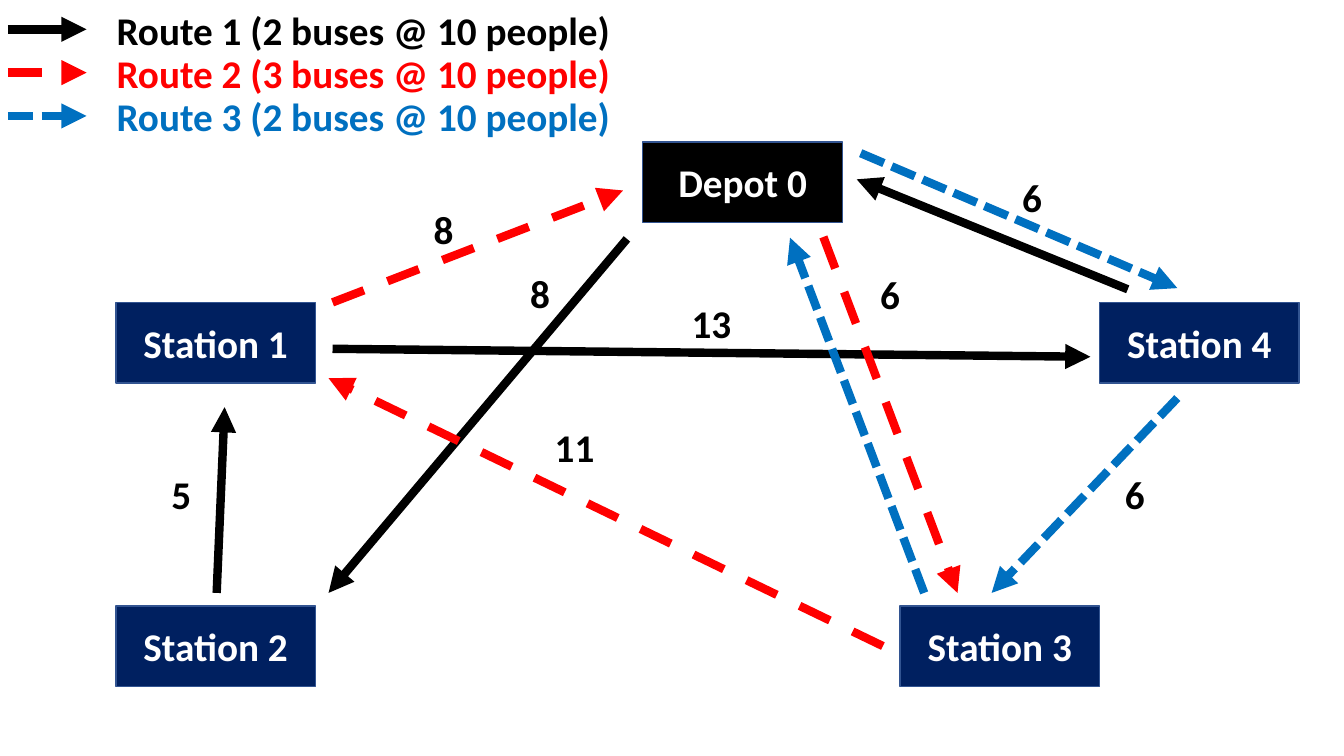
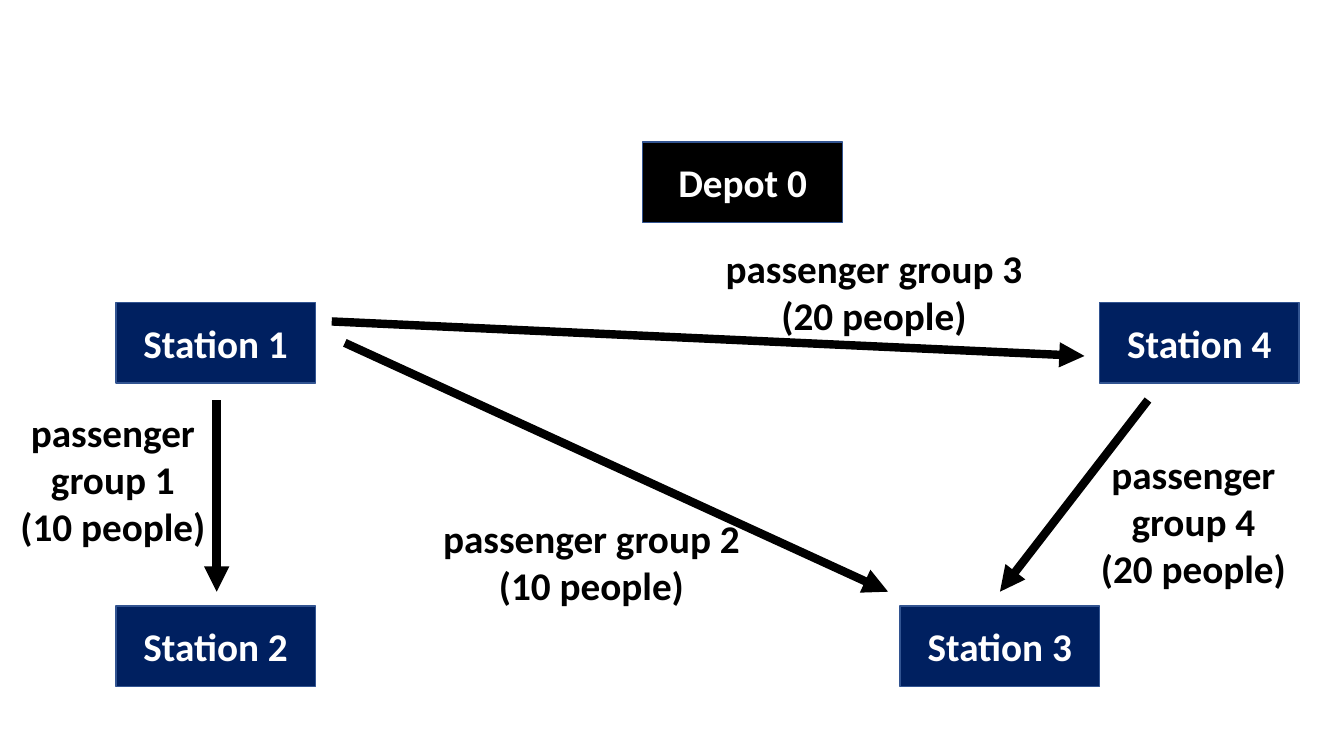
"""Build two slides: bus routes between stations, and passenger groups."""
from dataclasses import dataclass

from lxml import etree
from pptx import Presentation
from pptx.dml.color import RGBColor
from pptx.enum.dml import MSO_LINE
from pptx.enum.shapes import MSO_CONNECTOR, MSO_SHAPE
from pptx.enum.text import MSO_ANCHOR, MSO_AUTO_SIZE, PP_ALIGN
from pptx.oxml.ns import qn
from pptx.util import Cm, Pt

DASH, SHORT_DASH = MSO_LINE.DASH, MSO_LINE.SQUARE_DOT
STRAIGHT, RECTANGLE = MSO_CONNECTOR.STRAIGHT, MSO_SHAPE.RECTANGLE
LEFT, CENTER, MIDDLE = PP_ALIGN.LEFT, PP_ALIGN.CENTER, MSO_ANCHOR.MIDDLE
FIT_SHAPE = MSO_AUTO_SIZE.SHAPE_TO_FIT_TEXT
BLANK_LAYOUT = 6


@dataclass(frozen=True)
class Theme:
    font: str = "Calibri"
    text_size: Pt = Pt(28)
    arrow_width: Pt = Pt(6)
    outline_width: Pt = Pt(1)
    black: RGBColor = RGBColor(0x00, 0x00, 0x00)
    white: RGBColor = RGBColor(0xFF, 0xFF, 0xFF)
    red: RGBColor = RGBColor(0xFF, 0x00, 0x00)
    blue: RGBColor = RGBColor(0x00, 0x70, 0xC0)
    navy: RGBColor = RGBColor(0x00, 0x20, 0x60)
    outline: RGBColor = RGBColor(0x32, 0x54, 0x91)


theme = Theme()


def write_text(box, text, color=theme.black, align=CENTER, wrap=True):
    frame = box.text_frame
    frame.word_wrap = wrap
    for index, line in enumerate(text.split("\n")):
        para = frame.add_paragraph() if index else frame.paragraphs[0]
        para.alignment = align
        span = para.add_run()
        span.text = line
        span.font.name = theme.font
        span.font.size = theme.text_size
        span.font.bold = True
        span.font.color.rgb = color
    return frame


def draw_arrow(page, start, end, color=theme.black, dash=None):
    ends = [Cm(value) for value in (*start, *end)]
    arrow = page.shapes.add_connector(STRAIGHT, *ends)
    arrow.line.color.rgb = color
    arrow.line.width = theme.arrow_width
    if dash:
        arrow.line.dash_style = dash
    properties = arrow.element.spPr
    etree.SubElement(properties.find(qn("a:ln")), qn("a:tailEnd"), type="triangle")
    etree.SubElement(properties, qn("a:effectLst"))


deck = Presentation()
deck.slide_width, deck.slide_height = Cm(33.87), Cm(19.05)
routes_page, groups_page = [
    deck.slides.add_slide(deck.slide_layouts[BLANK_LAYOUT]) for _ in range(2)
]

stations = [
    ("Station 1", 2.92, 7.62, theme.navy),
    ("Station 2", 2.92, 15.27, theme.navy),
    ("Depot 0", 16.2, 3.58, theme.black),
    ("Station 4", 27.71, 7.62, theme.navy),
    ("Station 3", 22.68, 15.27, theme.navy),
]
for page in (routes_page, groups_page):
    for name, left, top, fill in stations:
        box = page.shapes.add_shape(RECTANGLE, Cm(left), Cm(top), Cm(5.03), Cm(2.03))
        box.shadow.inherit = False
        box.fill.solid()
        box.fill.fore_color.rgb = fill
        box.line.color.rgb = theme.outline
        box.line.width = theme.outline_width
        write_text(box, name, color=theme.white).vertical_anchor = MIDDLE

route_1 = {"color": theme.black}
route_2 = {"color": theme.red, "dash": DASH}
route_3 = {"color": theme.blue, "dash": SHORT_DASH}
legend = [
    ("Route 1 (2 buses @ 10 people)", route_1),
    ("Route 2 (3 buses @ 10 people)", route_2),
    ("Route 3 (2 buses @ 10 people)", route_3),
]
for row, (text, style) in enumerate(legend):
    offset = row * 1.09
    draw_arrow(routes_page, (0.2, 0.74 + offset), (2.18, 0.74 + offset), **style)
    box = routes_page.shapes.add_textbox(Cm(2.69), Cm(0.03 + offset), Cm(13.08), Cm(1.45))
    frame = write_text(box, text, color=style["color"], align=LEFT, wrap=False)
    frame.auto_size = FIT_SHAPE

route_legs = [
    ((15.8, 6.02), (8.28, 14.94), route_1),
    ((21.69, 3.86), (29.67, 7.26), route_3),
    ((5.46, 14.94), (5.66, 10.26), route_1),
    ((8.38, 8.79), (27.48, 8.99), route_1),
    ((28.42, 7.29), (21.59, 4.52), route_1),
    ((20.75, 5.97), (24.13, 14.94), route_2),
    ((22.25, 16.28), (8.28, 9.53), route_2),
    ((8.38, 7.62), (15.7, 4.8), route_2),
    ((29.67, 10.03), (24.99, 14.94), route_3),
    ((23.29, 14.94), (19.91, 5.99), route_3),
]
for start, end, style in route_legs:
    draw_arrow(routes_page, start, end, **style)

distances = [
    ("8", 11.18, 5.05),
    ("5", 4.57, 11.73),
    ("6", 28.6, 11.73),
    ("6", 26.01, 4.24),
    ("8", 13.61, 6.65),
    ("13", 17.93, 7.42),
    ("11", 14.48, 10.54),
    ("6", 22.43, 6.68),
]
for text, center, top in distances:
    width = 0.51 * (len(text) + 1)
    box = routes_page.shapes.add_textbox(
        Cm(center - width / 2), Cm(top), Cm(width), Cm(1.45)
    )
    write_text(box, text, wrap=False).auto_size = FIT_SHAPE

group_trips = [
    ((28.93, 10.08), (25.2, 14.91)),
    ((8.69, 8.64), (22.38, 14.91)),
    ((8.36, 8.1), (27.33, 8.97)),
    ((5.46, 10.08), (5.46, 14.91)),
]
for start, end in group_trips:
    draw_arrow(groups_page, start, end)

groups = [
    (1, 10, 0, 10.16, 5.69, 3.84),
    (2, 10, 10.46, 12.83, 8.89, 2.64),
    (3, 20, 17.58, 6.02, 8.89, 2.64),
    (4, 20, 27.05, 11.23, 6.05, 3.84),
]
for number, people, *area in groups:
    box = groups_page.shapes.add_textbox(*[Cm(value) for value in area])
    frame = write_text(box, f"passenger group {number}\n({people} people)")
    frame.auto_size = FIT_SHAPE

deck.save("out.pptx")
